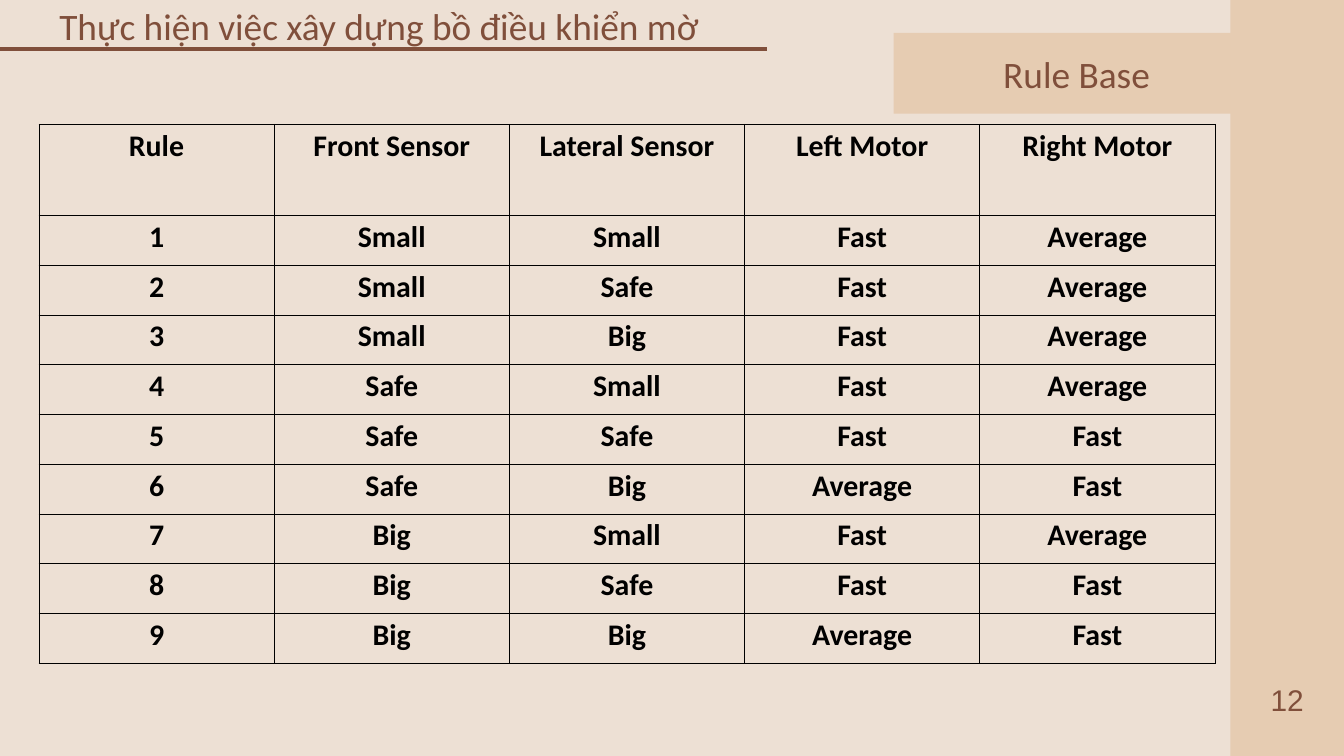
from lxml.etree import SubElement
from pptx import Presentation
from pptx.dml.color import RGBColor
from pptx.enum.shapes import MSO_CONNECTOR, MSO_SHAPE
from pptx.enum.text import MSO_ANCHOR, MSO_AUTO_SIZE, PP_ALIGN
from pptx.oxml.ns import qn
from pptx.util import Inches, Pt

CREAM = RGBColor(0xED, 0xE0, 0xD4)
SAND = RGBColor(0xE6, 0xCC, 0xB2)
BROWN = RGBColor(0x80, 0x4F, 0x3B)
BLACK = RGBColor(0, 0, 0)

WIDTH, HEIGHT = 20, 11.25
BAND_LEFT = 18.31
HEADING_WIDTH, HEADING_HEIGHT = 18.88, 0.73
COLUMN_WIDTH, HEADER_HEIGHT, ROW_HEIGHT = 3.5, 1.36, 0.74

RULES = [
    ("Rule", "Front Sensor", "Lateral Sensor", "Left Motor", "Right Motor"),
    ("1", "Small", "Small", "Fast", "Average"),
    ("2", "Small", "Safe", "Fast", "Average"),
    ("3", "Small", "Big", "Fast", "Average"),
    ("4", "Safe", "Small", "Fast", "Average"),
    ("5", "Safe", "Safe", "Fast", "Fast"),
    ("6", "Safe", "Big", "Average", "Fast"),
    ("7", "Big", "Small", "Fast", "Average"),
    ("8", "Big", "Safe", "Fast", "Fast"),
    ("9", "Big", "Big", "Average", "Fast"),
]


def style_text(para, size, color, font="Calibri", bold=False):
    para.alignment = PP_ALIGN.CENTER
    for span in para.runs:
        span.font.name = font
        span.font.size = Pt(size)
        span.font.bold = bold
        span.font.color.rgb = color


def fill_label(box, text, left, top, width, height, size, font="Calibri"):
    """Place a title or text box and give it one centred line."""
    box.left, box.top = Inches(left), Inches(top)
    box.width, box.height = Inches(width), Inches(height)
    frame = box.text_frame
    frame.text = text
    frame.word_wrap = True
    frame.auto_size = MSO_AUTO_SIZE.NONE
    frame.vertical_anchor = MSO_ANCHOR.TOP
    frame.margin_left = frame.margin_right = 0
    frame.margin_top = frame.margin_bottom = 0
    para = frame.paragraphs[0]
    para.line_spacing = Pt(size * 1.4)
    style_text(para, size, BROWN, font)


def add_label(page, text, left, top, width, height, size, font="Calibri"):
    box = page.shapes.add_textbox(0, 0, 0, 0)
    fill_label(box, text, left, top, width, height, size, font)


def add_panel(page, left, top, width, height):
    panel = page.shapes.add_shape(
        MSO_SHAPE.RECTANGLE, Inches(left), Inches(top), Inches(width), Inches(height))
    panel.shadow.inherit = False
    panel.fill.solid()
    panel.fill.fore_color.rgb = SAND
    panel.line.fill.background()


def add_rule_line(page, start, end, y):
    line = page.shapes.add_connector(
        MSO_CONNECTOR.STRAIGHT, Inches(start), Inches(y), Inches(end), Inches(y))
    line.line.color.rgb = BROWN
    line.line.width = Pt(3.75)
    SubElement(line.element.spPr, qn("a:effectLst"))


def add_borders(cell):
    properties = cell._tc.get_or_add_tcPr()
    for index, side in enumerate(("a:lnL", "a:lnR", "a:lnT", "a:lnB")):
        border = SubElement(properties, qn(side), w=str(Pt(1)))
        fill = SubElement(border, qn("a:solidFill"))
        SubElement(fill, qn("a:srgbClr"), val=str(BLACK))
        # Borders come before the fill in the cell properties
        properties.insert(index, border)


def add_rule_table(page, left, top):
    row_count, column_count = len(RULES), len(RULES[0])
    height = HEADER_HEIGHT + ROW_HEIGHT * (row_count - 1)
    table = page.shapes.add_table(
        row_count, column_count, Inches(left), Inches(top),
        Inches(COLUMN_WIDTH * column_count), Inches(height)).table
    table.first_row = table.horz_banding = False
    for index, row in enumerate(table.rows):
        row.height = Inches(ROW_HEIGHT if index else HEADER_HEIGHT)
        for cell, text in zip(row.cells, RULES[index]):
            cell.text = text
            cell.fill.background()
            style_text(cell.text_frame.paragraphs[0], 32, BLACK, bold=True)
            add_borders(cell)


def main():
    deck = Presentation()
    deck.slide_width, deck.slide_height = Inches(WIDTH), Inches(HEIGHT)
    page = deck.slides.add_slide(deck.slide_layouts[5])
    page.background.fill.solid()
    page.background.fill.fore_color.rgb = CREAM

    # Title and its underline
    fill_label(page.shapes.title, "Thực hiện việc xây dựng bồ điều khiển mờ",
               -3.8, -0.07, HEADING_WIDTH, HEADING_HEIGHT, 40)
    add_rule_line(page, -0.14, 11.41, 0.73)

    # Side band with the section tab
    add_panel(page, BAND_LEFT, 0, WIDTH - BAND_LEFT, HEIGHT)
    add_panel(page, 13.3, 0.49, 5.43, 1.2)

    # Page number and section name
    add_label(page, "12", 18.73, 10.06, 0.85, 1.2, 32, "Arial")
    add_label(page, "Rule Base", 6.58, 0.65, HEADING_WIDTH, HEADING_HEIGHT, 40)

    # Fuzzy rules
    add_rule_table(page, 0.58, 1.85)

    deck.save("out.pptx")


if __name__ == "__main__":
    main()
